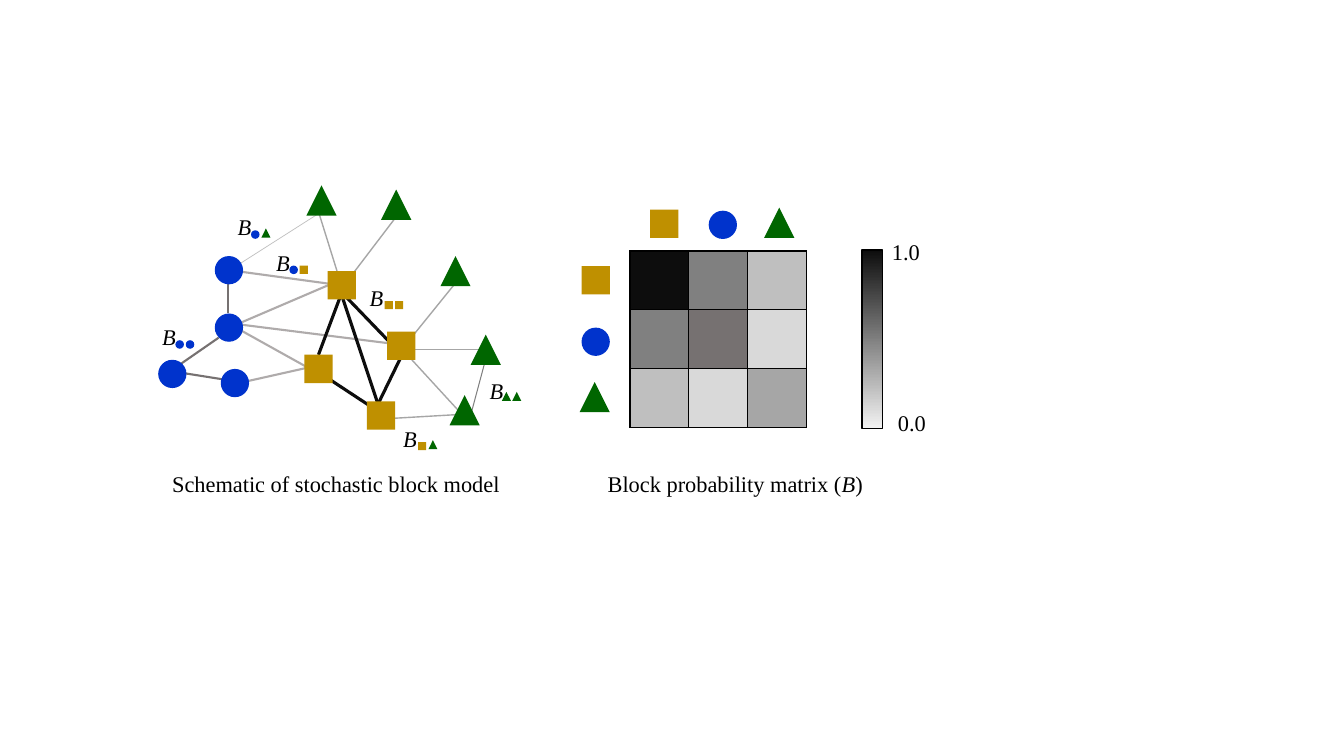
from pptx import Presentation
from pptx.dml.color import RGBColor
from pptx.enum.shapes import MSO_CONNECTOR, MSO_SHAPE
from pptx.oxml import parse_xml
from pptx.oxml.ns import nsdecls
from pptx.util import Pt

LINE = MSO_CONNECTOR.STRAIGHT
RECT = MSO_SHAPE.RECTANGLE
color = RGBColor.from_string

# Each kind: preset, fill, node size, subscript size, subscript offset
KINDS = {
    "square": (RECT, "BF9000", 20.2, 5.8, (17.8, 15.6)),
    "circle": (MSO_SHAPE.OVAL, "0033CC", 20.2, 6.1, (16.6, 15.5)),
    "triangle": (MSO_SHAPE.ISOSCELES_TRIANGLE, "006600", 21.6, 6.5, (15.8, 14.2)),
}

prs = Presentation()
prs.slide_width, prs.slide_height = Pt(960), Pt(540)
slide = prs.slides.add_slide(prs.slide_layouts[6])
shapes = slide.shapes


def mark(kind, x, y, small=False):
    preset, fill, node, sub, _ = KINDS[kind]
    size = Pt(sub if small else node)
    shape = shapes.add_shape(preset, Pt(x), Pt(y), size, size)
    shape.shadow.inherit = False
    shape.fill.solid()
    shape.fill.fore_color.rgb = color(fill)
    shape.line.fill.background()


def write(x, y, width, *runs):
    frame = shapes.add_textbox(Pt(x), Pt(y), Pt(width), Pt(26.6)).text_frame
    frame.word_wrap = True
    for text, italic in runs:
        run = frame.paragraphs[0].add_run()
        run.text = text
        look = {"name": "Times New Roman", "size": Pt(16), "italic": italic}
        for key, value in look.items():
            setattr(run.font, key, value)
        run.font.color.rgb = color("000000")


# Edges: colour, width, end points
edges = [
    ("AFABAB", 1.5, [
        (169.2, 193.7, 237.6, 203), (170.6, 231.1, 236.2, 203),
        (171.4, 231.8, 280.1, 245.5), (168.5, 234, 220.3, 262.8),
        (177.1, 272.2, 218.9, 262.8)]),
    ("BFBFBF", 0.5, [(227.5, 152.6, 172.1, 187.9)]),
    ("808080", 0.75, [(347, 256.3, 336.2, 296.6)]),
    ("A6A6A6", 1, [
        (331.2, 295.9, 280.8, 298.8), (348.5, 249.8, 288, 249.8),
        (331.9, 298.1, 291.6, 254.2), (330.5, 195.8, 293.8, 241.2),
        (241.9, 197.3, 227.5, 151.2), (285.8, 151.2, 249.1, 199.4)]),
    ("767171", 1.5, [
        (126, 265.7, 167, 272.2), (128.2, 260.6, 156.2, 241.2),
        (162.7, 223.9, 162.7, 200.9)]),
    ("0D0D0D", 2.25, [
        (270.7, 287.3, 285.8, 256.3), (267.8, 292.3, 231.8, 268.6),
        (227.5, 253.4, 242.6, 213.1), (272.9, 297.4, 244.8, 213.1),
        (279.4, 245.5, 243.4, 208.1)]),
]
for tone, width, ends in edges:
    for end in ends:
        edge = shapes.add_connector(LINE, *map(Pt, end))
        edge.line.color.rgb = color(tone)
        edge.line.width = Pt(width)
        edge._element.spPr.append(parse_xml(f"<a:effectLst {nsdecls('a')}/>"))

# Network nodes, then the row and column keys of the matrix
nodes = {
    "circle": [(153.4, 223.9), (113, 257), (157.7, 263.5), (153.4, 182.9),
               (506.2, 150.5), (415.4, 234)],
    "square": [(262.1, 286.6), (217.4, 253.4), (276.5, 236.9), (234, 193.7),
               (464.4, 149.8), (415.4, 190.1)],
    "triangle": [(336.2, 239), (321.1, 282.2), (272.2, 135.4), (218.9, 132.5),
                 (314.6, 182.9), (545.8, 148.3), (414, 272.9)],
}
for kind, spots in nodes.items():
    for x, y in spots:
        mark(kind, x, y)

# Edge labels: B with two small marks as subscript
labels = [
    (257, 199.4, "square", "square"), (190.1, 174.2, "circle", "square"),
    (162.7, 149, "circle", "triangle"), (108.7, 227.5, "circle", "circle"),
    (342.7, 265.7, "triangle", "triangle"), (280.8, 300.2, "square", "triangle"),
]
for x, y, first, second in labels:
    write(x, y, 29.5, ("B", True))
    left = x + KINDS[first][4][0]
    for step, kind in enumerate((first, second)):
        mark(kind, left + 7.4 * step, y + KINDS[kind][4][1], small=True)

# Probability matrix
tones = [
    ("0D0D0D", "808080", "BFBFBF"),
    ("808080", "767171", "D9D9D9"),
    ("BFBFBF", "D9D9D9", "A6A6A6"),
]
grid = shapes.add_table(3, 3, Pt(450), Pt(179.3), Pt(126), Pt(126)).table
grid.first_row = grid.horz_banding = False
for i, row in enumerate(tones):
    grid.rows[i].height = grid.columns[i].width = Pt(42)
    for j, tone in enumerate(row):
        cell = grid.cell(i, j)
        props = cell._tc.get_or_add_tcPr()
        for side in "LRTB":
            props.append(parse_xml(
                f'<a:ln{side} {nsdecls("a")} w="{Pt(1)}"><a:solidFill>'
                f'<a:srgbClr val="000000"/></a:solidFill></a:ln{side}>'))
        cell.fill.solid()
        cell.fill.fore_color.rgb = color(tone)

# Probability scale
scale = shapes.add_shape(RECT, Pt(615.6), Pt(178.6), Pt(14.6), Pt(127.4))
scale.shadow.inherit = False
scale.fill.gradient()
scale.fill.gradient_angle = 270
for stop, tone in zip(scale.fill.gradient_stops, ("0D0D0D", "F2F2F2")):
    stop.color.rgb = color(tone)
scale.line.color.rgb = color("000000")
scale.line.width = Pt(1)
write(630, 166.3, 36.7, ("1.0", False))
write(634.3, 288.7, 36.7, ("0.0", False))

# Captions
write(115.9, 332.6, 252, ("Schematic of stochastic block model", False))
write(427, 332.6, 203.8, ("Block probability matrix (", False), ("B", True), (")", False))

prs.save("out.pptx")
